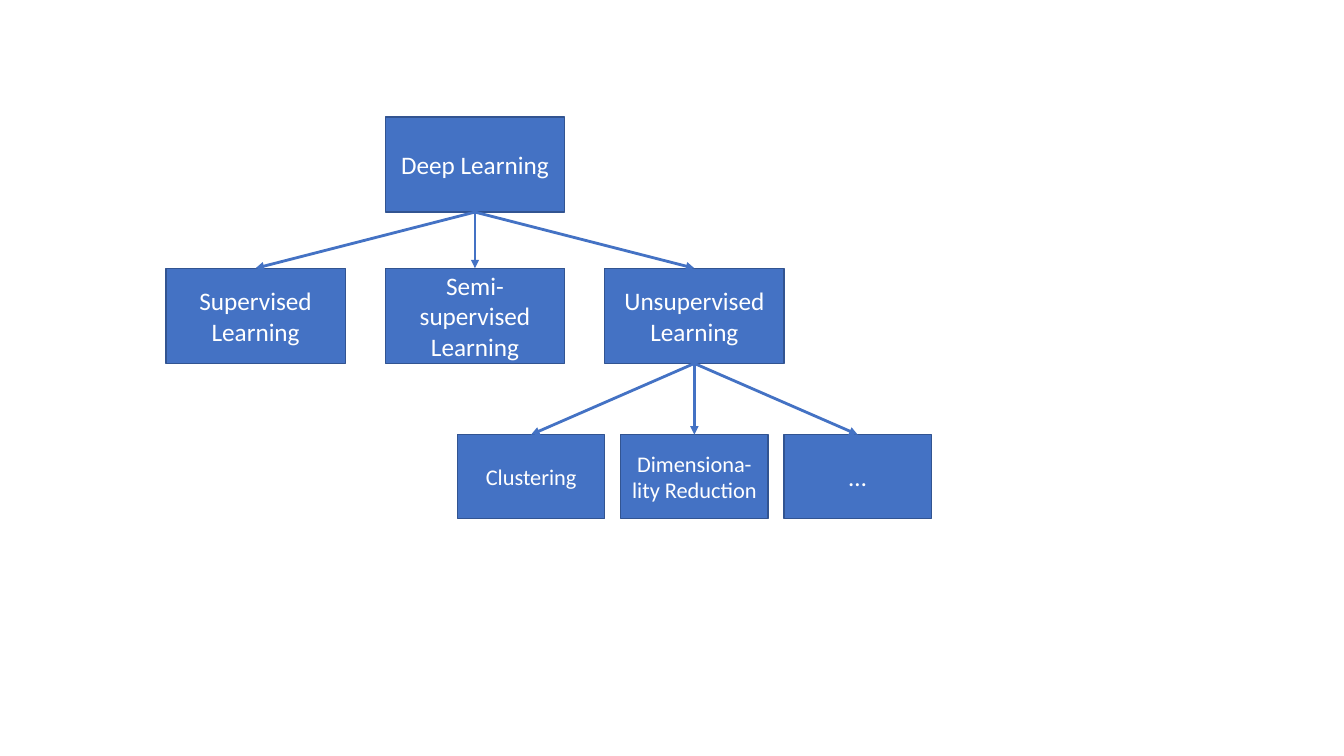
from lxml.etree import SubElement
from pptx import Presentation
from pptx.dml.color import RGBColor
from pptx.enum.shapes import MSO_CONNECTOR, MSO_SHAPE
from pptx.enum.text import MSO_ANCHOR, PP_ALIGN
from pptx.oxml.ns import qn
from pptx.util import Pt

BOTTOM, TOP = 2, 0


def color(hex_code):
    return RGBColor.from_string(hex_code)


class TreeSlide:
    font = "Calibri"
    fill = "4472C4"
    border = "325491"
    ink = "FFFFFF"

    def __init__(self, slide):
        self.slide = slide

    def node(self, label, center, top, width, height, size):
        node = self.slide.shapes.add_shape(
            MSO_SHAPE.RECTANGLE, Pt(center - width / 2), Pt(top), Pt(width), Pt(height))
        node.shadow.inherit = False
        node.fill.solid()
        node.fill.fore_color.rgb = color(self.fill)
        node.line.color.rgb = color(self.border)
        node.line.width = Pt(1)
        frame = node.text_frame
        frame.text = label
        frame.word_wrap = True
        frame.vertical_anchor = MSO_ANCHOR.MIDDLE
        paragraph = frame.paragraphs[0]
        paragraph.alignment = PP_ALIGN.CENTER
        font = paragraph.runs[0].font
        font.name = self.font
        font.size = Pt(size)
        font.color.rgb = color(self.ink)
        return node

    def arrow(self, parent, child):
        arrow = self.slide.shapes.add_connector(MSO_CONNECTOR.STRAIGHT, 0, 0, 0, 0)
        arrow.begin_connect(parent, BOTTOM)
        arrow.end_connect(child, TOP)
        arrow.line.color.rgb = color(self.fill)
        arrow.line.width = Pt(2)
        SubElement(arrow.line._get_or_add_ln(), qn("a:tailEnd"), type="triangle")
        SubElement(arrow._element.spPr, qn("a:effectLst"))

    def branch(self, parent, labels, middle, spacing, top, width, height):
        children = [
            self.node(label, middle + (index - 1) * spacing, top, width, height, size)
            for index, (label, size) in enumerate(labels)]
        for child in children:
            self.arrow(parent, child)
        return children


def main():
    deck = Presentation()
    deck.slide_width, deck.slide_height = Pt(960), Pt(540)
    tree = TreeSlide(deck.slides.add_slide(deck.slide_layouts[6]))

    root_center, kind_spacing = 339.3, 156.7
    kind_size = (128.2, 68)
    deep_learning = tree.node("Deep Learning", root_center, 83.5, *kind_size, 18)
    kinds = [("Supervised Learning", 18), ("Semi-supervised Learning", 18),
             ("Unsupervised Learning", 18)]
    supervised, semi_supervised, unsupervised = tree.branch(
        deep_learning, kinds, root_center, kind_spacing, 191.6, *kind_size)
    tasks = [("Clustering", 16), ("Dimensiona-lity Reduction", 16), ("…", 18)]
    tree.branch(unsupervised, tasks, root_center + kind_spacing, 116.6, 310.4, 105.2, 60)

    deck.save("out.pptx")


if __name__ == "__main__":
    main()
